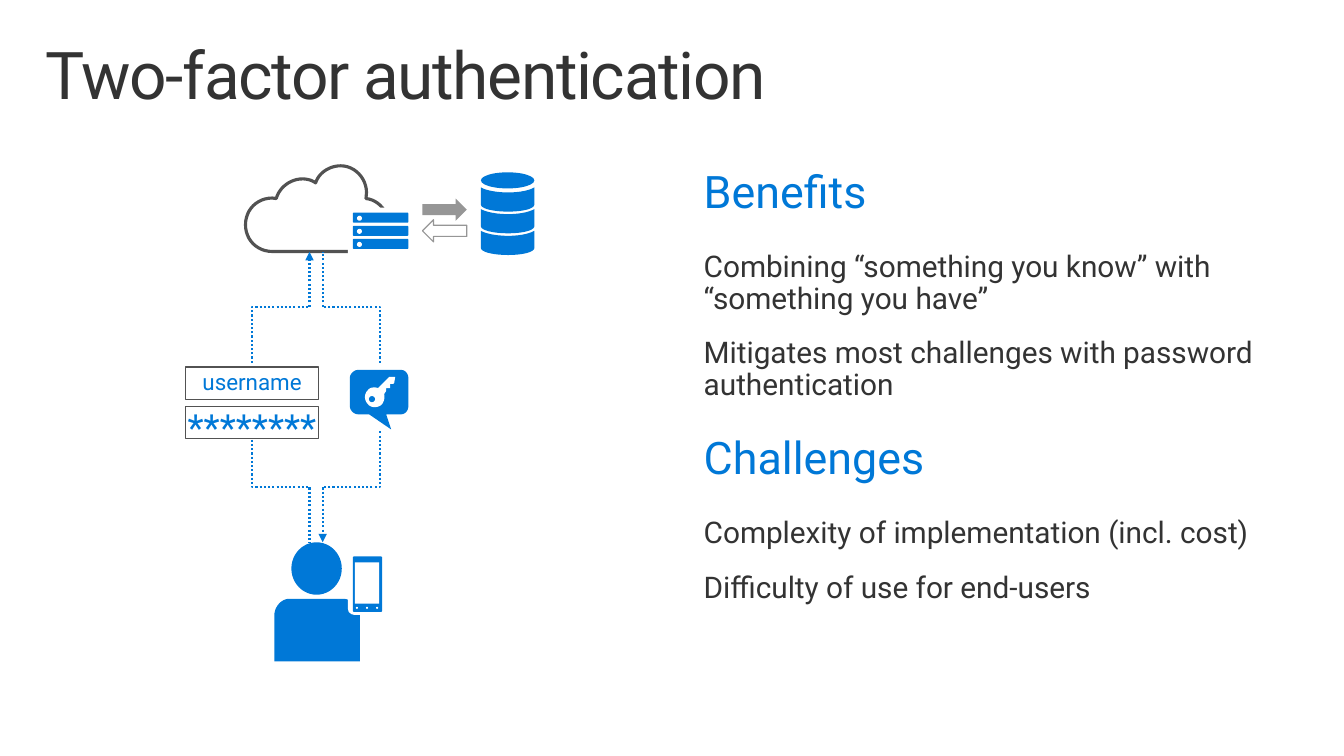
from pptx import Presentation
from pptx.dml.color import RGBColor
from pptx.enum.dml import MSO_LINE
from pptx.enum.shapes import MSO_CONNECTOR, MSO_SHAPE
from pptx.enum.text import MSO_ANCHOR, PP_ALIGN
from pptx.oxml.ns import qn
from pptx.util import Inches, Pt
from lxml import etree

BLUE = RGBColor(0x00, 0x78, 0xD7)
DARK = RGBColor(0x33, 0x33, 0x33)
OUTLINE = RGBColor(0x52, 0x52, 0x52)
GREY = RGBColor(0x96, 0x96, 0x96)
WHITE = RGBColor(0xFF, 0xFF, 0xFF)
FONT = "Roboto"
RECT, ROUND, OVAL = MSO_SHAPE.RECTANGLE, MSO_SHAPE.ROUNDED_RECTANGLE, MSO_SHAPE.OVAL
RIGHT_ARROW, LEFT_ARROW = MSO_SHAPE.RIGHT_ARROW, MSO_SHAPE.LEFT_ARROW
ELBOW, DOTTED = MSO_CONNECTOR.ELBOW, MSO_LINE.ROUND_DOT
MIDDLE, CENTER = MSO_ANCHOR.MIDDLE, PP_ALIGN.CENTER
CURVE_STEPS = 12

CLOUD = [(.28, .865), (.13, .865, .015, .75, .015, .6), (.015, .45, .13, .335, .28, .335),
         (.32, .34), (.35, .23, .46, .145, .58, .145), (.63, .145, .68, .16, .71, .185),
         (.74, .09, .84, .015, .96, .015), (1.1, .015, 1.215, .14, 1.215, .28),
         (1.21, .34), (1.33, .35, 1.435, .47, 1.435, .6),
         (1.435, .75, 1.31, .865, 1.17, .865)]
DISK = [(0, 0), (.05, .03, .16, .05, .27, .05), (.38, .05, .48, .03, .53, 0), (.53, .17),
        (.53, .21, .42, .24, .27, .24), (.12, .24, 0, .21, 0, .17)]
TORSO = [(.85, .62), (.85, .17), (.85, .08, .77, 0, .68, 0), (.15, 0),
         (.07, 0, 0, .08, 0, .17), (0, .62)]
BUBBLE = [(.51, 0), (.08, 0), (.04, 0, 0, .04, 0, .08), (0, .36), (0, .4, .04, .44, .08, .44),
          (.19, .44), (.41, .59), (.36, .44), (.51, .44), (.55, .44, .58, .4, .58, .36),
          (.58, .08), (.58, .04, .55, 0, .51, 0)]
KEY = [(.44, .13), (.43, .14), (.4, .14), (.4, .18), (.36, .18), (.36, .21), (.34, .24),
       (.35, .27, .34, .31, .32, .34), (.28, .38, .21, .38, .18, .34),
       (.14, .3, .14, .24, .18, .2), (.2, .17, .25, .17, .28, .18), (.39, .07), (.45, .07)]


def paint(shape, fill=None, line=None, weight=0.85):
    """Set the fill and line of a shape and drop its shadow."""
    shape.shadow.inherit = False
    if fill is None:
        shape.fill.background()
    else:
        shape.fill.solid()
        shape.fill.fore_color.rgb = fill
    if line is None:
        shape.line.fill.background()
    else:
        shape.line.color.rgb = line
        shape.line.width = Pt(weight)
    return shape


def add_preset(page, kind, left, top, width, height, fill=None, line=None, corner=None):
    """Add a painted preset shape."""
    box = [Inches(value) for value in (left, top, width, height)]
    shape = paint(page.shapes.add_shape(kind, *box), fill, line)
    if corner is not None:
        shape.adjustments[0] = corner
    return shape


def add_outline(page, left, top, steps, fill, line=None, weight=0.85):
    """Draw a closed outline of straight (x, y) and cubic curve steps."""
    points = [steps[0]]
    for step in steps[1:]:
        if len(step) == 2:
            points.append(step)
            continue
        corners = [points[-1], step[:2], step[2:4], step[4:]]
        for index in range(1, CURVE_STEPS + 1):
            t = index / CURVE_STEPS
            weights = ((1 - t) ** 3, 3 * t * (1 - t) ** 2, 3 * t * t * (1 - t), t ** 3)
            points.append(tuple(sum(w * c[axis] for w, c in zip(weights, corners))
                                for axis in (0, 1)))
    places = [(Inches(left + x), Inches(top + y)) for x, y in points]
    builder = page.shapes.build_freeform(*places[0], scale=1.0)
    builder.add_line_segments(places[1:], close=True)
    return paint(builder.convert_to_shape(), fill, line, weight)


def add_route(page, start, end, arrow=False):
    """Add a dotted elbow that leaves and arrives vertically."""
    (x1, y1), (x2, y2) = start, end
    middle_x, middle_y = (x1 + x2) / 2, (y1 + y2) / 2
    sign = 1 if (y2 < y1) == (x2 > x1) else -1
    ends = []
    for x, y in (start, end):
        ends += [Inches(middle_x + sign * (y - middle_y)),
                 Inches(middle_y - sign * (x - middle_x))]
    route = page.shapes.add_connector(ELBOW, *ends)
    route.line.color.rgb = BLUE
    route.line.width = Pt(1.5)
    route.line.dash_style = DOTTED
    properties = route._element.spPr
    properties.find(qn("a:xfrm")).set("rot", str((90 if sign == 1 else 270) * 60000))
    if arrow:
        etree.SubElement(properties.find(qn("a:ln")), qn("a:tailEnd")).set("type", "triangle")
    etree.SubElement(properties, qn("a:effectLst"))


def style(para, size, color):
    """Format a paragraph and its run."""
    para.line_spacing = 0.9
    font = para.runs[0].font
    font.name, font.size = FONT, Pt(size)
    font.color.rgb = color


def add_text_box(page, left, top, width, height):
    """Add a wrapping text box and return its frame."""
    frame = page.shapes.add_textbox(*map(Inches, (left, top, width, height))).text_frame
    frame.word_wrap = True
    frame.margin_left = frame.margin_right = Inches(0.16)
    frame.margin_top = frame.margin_bottom = Inches(0.1)
    return frame


def add_title(page, left, top, width, height):
    """Add the slide title."""
    para = add_text_box(page, left, top, width, height).paragraphs[0]
    para.text = "Two-factor authentication"
    style(para, 47, DARK)
    para.runs[0].font._element.set("spc", "-100")


def add_summary(page, left, top, width, height):
    """Add the benefits and challenges."""
    sections = {
        "Benefits": ["Combining “something you know” with “something you have”",
                     "Mitigates most challenges with password authentication"],
        "Challenges": ["Complexity of implementation (incl. cost)",
                       "Difficulty of use for end-users"],
    }
    frame = add_text_box(page, left, top, width, height)
    para = frame.paragraphs[0]
    for number, (heading, points) in enumerate(sections.items()):
        if number:
            para = frame.add_paragraph()
            para.space_before = Pt(24)
        para.text = heading
        para.space_after = Pt(8)
        style(para, 32, BLUE)
        for point in points:
            para = frame.add_paragraph()
            para.text = point
            para.space_before = Pt(16)
            style(para, 21.3, DARK)


def add_cloud(page, left, top):
    """Draw the cloud, its servers, the exchange arrows and the database."""
    add_outline(page, left, top, CLOUD, WHITE, OUTLINE, 2.25)
    add_preset(page, RECT, left + 1.03, top + 0.43, 0.65, 0.9, WHITE)
    for row in range(3):
        y = top + 0.48 + row * 0.13
        add_preset(page, ROUND, left + 1.08, y, 0.55, 0.1, BLUE, corner=0.1)
        add_preset(page, OVAL, left + 1.12, y + 0.03, 0.05, 0.05, WHITE)
    add_preset(page, RIGHT_ARROW, left + 1.77, top + 0.34, 0.44, 0.22, GREY)
    add_preset(page, LEFT_ARROW, left + 1.77, top + 0.55, 0.44, 0.22, line=GREY)
    add_preset(page, OVAL, left + 2.35, top + 0.08, 0.53, 0.16, BLUE)
    for level in range(3):
        add_outline(page, left + 2.35, top + 0.23 + level * 0.215, DISK, BLUE)


def add_credentials(page, left, top):
    """Draw the login fields and the key message with their routes."""
    for start, end, arrow in (((0.66, -0.04), (1.23, -1.14), True),
                              ((0.66, 0.64), (1.23, 1.74), False),
                              ((1.93, -0.04), (1.36, -1.14), False),
                              ((1.93, 0.64), (1.36, 1.74), True)):
        add_route(page, (left + start[0], top + start[1]), (left + end[0], top + end[1]), arrow)
    for row, (label, size, inset) in enumerate((("username", 16, 0), ("********", 26.7, 0.13))):
        field = add_preset(page, RECT, left, top + row * 0.39, 1.32, 0.32, WHITE, OUTLINE)
        frame = field.text_frame
        frame.text = label
        frame.word_wrap = False
        frame.vertical_anchor = MIDDLE
        frame.margin_left = frame.margin_right = frame.margin_bottom = 0
        frame.margin_top = Inches(inset)
        frame.paragraphs[0].alignment = CENTER
        style(frame.paragraphs[0], size, BLUE)
    add_outline(page, left + 1.63, top + 0.03, BUBBLE, BLUE)
    add_outline(page, left + 1.63, top + 0.03, KEY, WHITE)
    add_preset(page, OVAL, left + 1.82, top + 0.29, 0.06, 0.06, BLUE)


def add_user(page, left, top):
    """Draw the person holding a phone."""
    add_preset(page, OVAL, left + 0.17, top, 0.5, 0.52, BLUE)
    add_outline(page, left, top + 0.56, TORSO, BLUE)
    add_preset(page, ROUND, left + 0.73, top + 0.1, 0.38, 0.62, WHITE)
    add_preset(page, ROUND, left + 0.78, top + 0.14, 0.29, 0.55, BLUE, corner=0.04)
    add_preset(page, RECT, left + 0.8, top + 0.2, 0.24, 0.41, WHITE)
    for button in range(3):
        add_preset(page, OVAL, left + 0.81 + button * 0.1, top + 0.64, 0.02, 0.02, WHITE)


def main():
    """Build the slide and save it."""
    deck = Presentation()
    deck.slide_width, deck.slide_height = Inches(13.33), Inches(7.5)
    page = deck.slides.add_slide(deck.slide_layouts[6])
    add_title(page, 0.29, 0.32, 12.75, 0.98)
    add_summary(page, 6.82, 1.58, 5.96, 4.57)
    add_cloud(page, 2.42, 1.63)
    add_credentials(page, 1.84, 3.64)
    add_user(page, 2.72, 5.38)
    deck.save("out.pptx")


if __name__ == "__main__":
    main()
